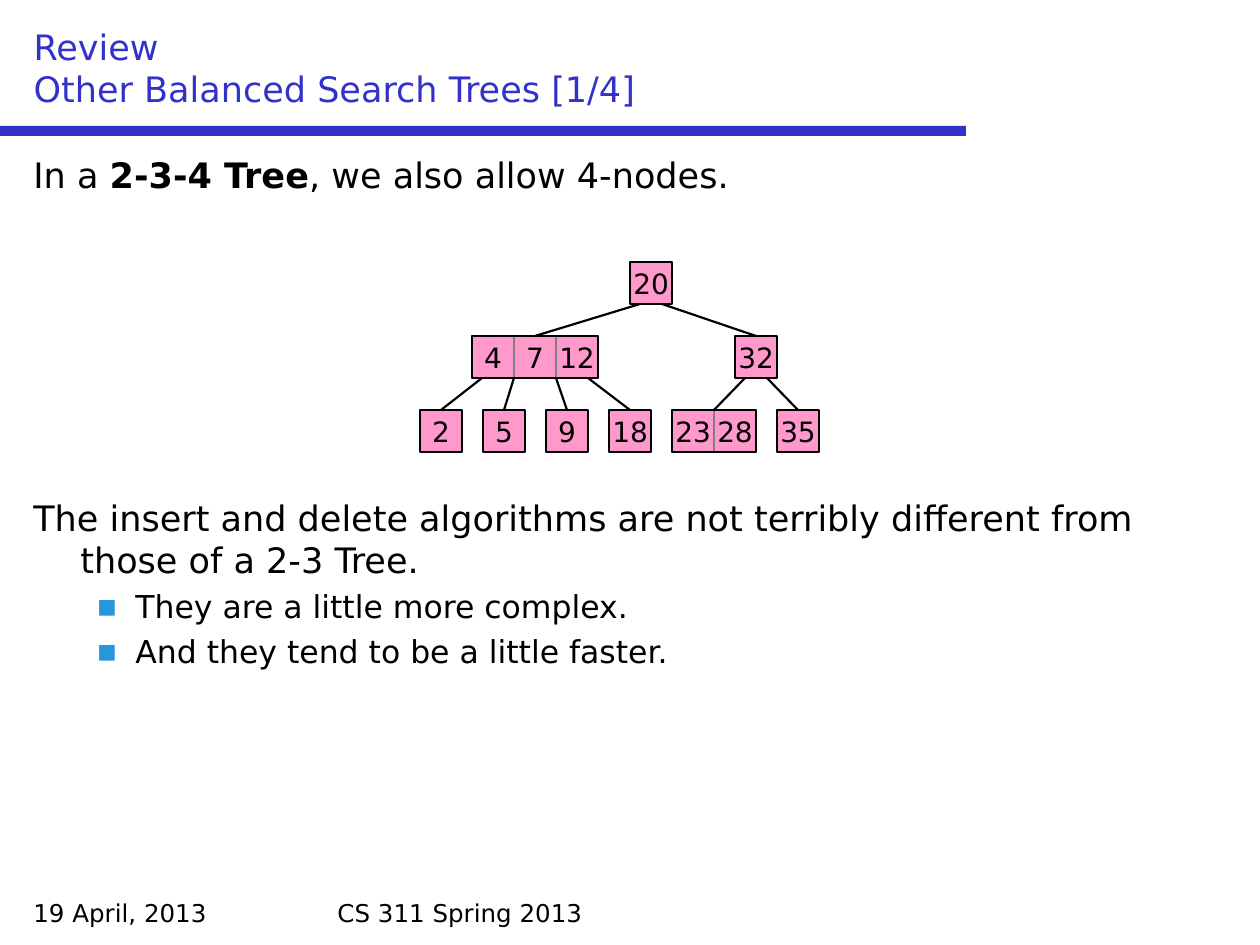
from pptx import Presentation
from pptx.dml.color import RGBColor
from pptx.enum.shapes import MSO_CONNECTOR, MSO_SHAPE
from pptx.enum.text import MSO_ANCHOR, MSO_AUTO_SIZE, PP_ALIGN
from pptx.oxml.ns import qn
from pptx.util import Pt
from lxml import etree

SCALE = 914400 / 126
FONT = "DejaVu Sans"
BLACK, BLUE, BULLET, PINK, GREY = "000000", "3232C8", "2896DC", "FF99CC", "808080"
CELL, ROW_STEP, EDGE_INSET = 42, 74, 10

TREE = (210, ["20"], [
    (52, ["4", "7", "12"], [(0, ["2"], []), (63, ["5"], []),
                            (126, ["9"], []), (189, ["18"], [])]),
    (315, ["32"], [(252, ["23", "28"], []), (357, ["35"], [])]),
])


def px(*lengths):
    return [round(length * SCALE) for length in lengths]


def color(hex_string):
    return RGBColor.from_string(hex_string)


def add_run(paragraph, text, size, hex_string=BLACK, bold=False):
    run = paragraph.add_run()
    run.text = text
    run.font.name = FONT
    run.font.size = Pt(size)
    run.font.bold = bold
    run.font.color.rgb = color(hex_string)


def add_rect(slide, box, fill=None, line=None, width=1.25):
    rect = slide.shapes.add_shape(MSO_SHAPE.RECTANGLE, *px(*box))
    rect.shadow.inherit = False
    if fill:
        rect.fill.solid()
        rect.fill.fore_color.rgb = color(fill)
    else:
        rect.fill.background()
    if line:
        rect.line.color.rgb = color(line)
        rect.line.width = Pt(width)
    else:
        rect.line.fill.background()
    return rect


def add_edge(slide, start, end):
    edge = slide.shapes.add_connector(MSO_CONNECTOR.STRAIGHT, *px(*start, *end))
    edge.line.color.rgb = color(BLACK)
    edge.line.width = Pt(1.25)
    etree.SubElement(edge._element.spPr, qn("a:effectLst"))


def add_text_frame(slide, box):
    frame = slide.shapes.add_textbox(*px(*box)).text_frame
    frame.word_wrap = True
    return frame


def set_indent(paragraph, left, hanging, bullet=None):
    properties = paragraph._p.get_or_add_pPr()
    margin, indent = px(left, -hanging)
    properties.set("marL", str(margin))
    properties.set("indent", str(indent))
    if bullet:
        bullet_color = etree.SubElement(properties, qn("a:buClr"))
        etree.SubElement(bullet_color, qn("a:srgbClr")).set("val", BULLET)
        etree.SubElement(properties, qn("a:buFont")).set("typeface", FONT)
        etree.SubElement(properties, qn("a:buChar")).set("char", bullet)


def add_title(slide, box, text):
    title = slide.shapes.title
    title.left, title.top, title.width, title.height = px(*box)
    frame = title.text_frame
    frame.auto_size = MSO_AUTO_SIZE.NONE
    frame.word_wrap = True
    frame.vertical_anchor = MSO_ANCHOR.BOTTOM
    paragraph = frame.paragraphs[0]
    paragraph.alignment = PP_ALIGN.LEFT
    for number, line in enumerate(text):
        if number:
            paragraph.add_line_break()
        add_run(paragraph, line, 20, BLUE)


def add_body(slide, box):
    frame = add_text_frame(slide, box)
    intro = frame.paragraphs[0]
    set_indent(intro, 47, 47)
    add_run(intro, "In a ", 20)
    add_run(intro, "2-3-4 Tree", 20, bold=True)
    add_run(intro, ", we also allow 4-nodes.", 20)

    remark = frame.add_paragraph()
    remark.space_before = Pt(172)
    set_indent(remark, 47, 47)
    add_run(remark, "The insert and delete algorithms are not terribly "
                    "different from those of a 2-3 Tree.", 20)

    for text in ("They are a little more complex.",
                 "And they tend to be a little faster."):
        point = frame.add_paragraph()
        point.level = 1
        point.space_before = Pt(4)
        set_indent(point, 102, 39, "▪")
        add_run(point, text, 18)


def add_node(slide, left, top, keys):
    line, width = (BLACK, 1.25) if len(keys) == 1 else (GREY, 0.75)
    for number, key in enumerate(keys):
        box = (left + number * CELL, top, CELL, CELL)
        frame = add_rect(slide, box, PINK, line, width).text_frame
        frame.margin_left = frame.margin_right = 0
        frame.margin_top = frame.margin_bottom = 0
        frame.word_wrap = False
        frame.vertical_anchor = MSO_ANCHOR.MIDDLE
        frame.paragraphs[0].alignment = PP_ALIGN.CENTER
        add_run(frame.paragraphs[0], key, 16)
    if len(keys) > 1:
        add_rect(slide, (left, top, len(keys) * CELL, CELL), line=BLACK)


def add_tree(slide, origin, tree, row=0):
    offset, keys, children = tree
    left, top = origin[0] + offset, origin[1] + row * ROW_STEP
    width = len(keys) * CELL
    add_node(slide, left, top, keys)
    for number, child in enumerate(children):
        start = min(max(number * CELL, EDGE_INSET), width - EDGE_INSET)
        center = origin[0] + child[0] + len(child[1]) * CELL // 2
        add_edge(slide, (left + start, top + CELL), (center, top + ROW_STEP))
        add_tree(slide, origin, child, row + 1)


def add_footer(slide, box):
    left, top, width, height = box
    for offset, size, text in ((0, 294, "19 April, 2013"),
                               (304, width - 304, "CS 311 Spring 2013")):
        frame = add_text_frame(slide, (left + offset, top, size, height))
        add_run(frame.paragraphs[0], text, 14)


def main():
    presentation = Presentation()
    presentation.slide_width, presentation.slide_height = px(1260, 945)
    slide = presentation.slides.add_slide(presentation.slide_layouts[5])
    add_rect(slide, (0, 126, 966, 10), BLUE)
    add_footer(slide, (21, 892, 913, 42))
    add_title(slide, (21, 21, 1218, 95), ["Review", "Other Balanced Search Trees [1/4]"])
    add_body(slide, (21, 147, 1218, 735))
    add_tree(slide, (420, 262), TREE)
    presentation.save("out.pptx")


main()
